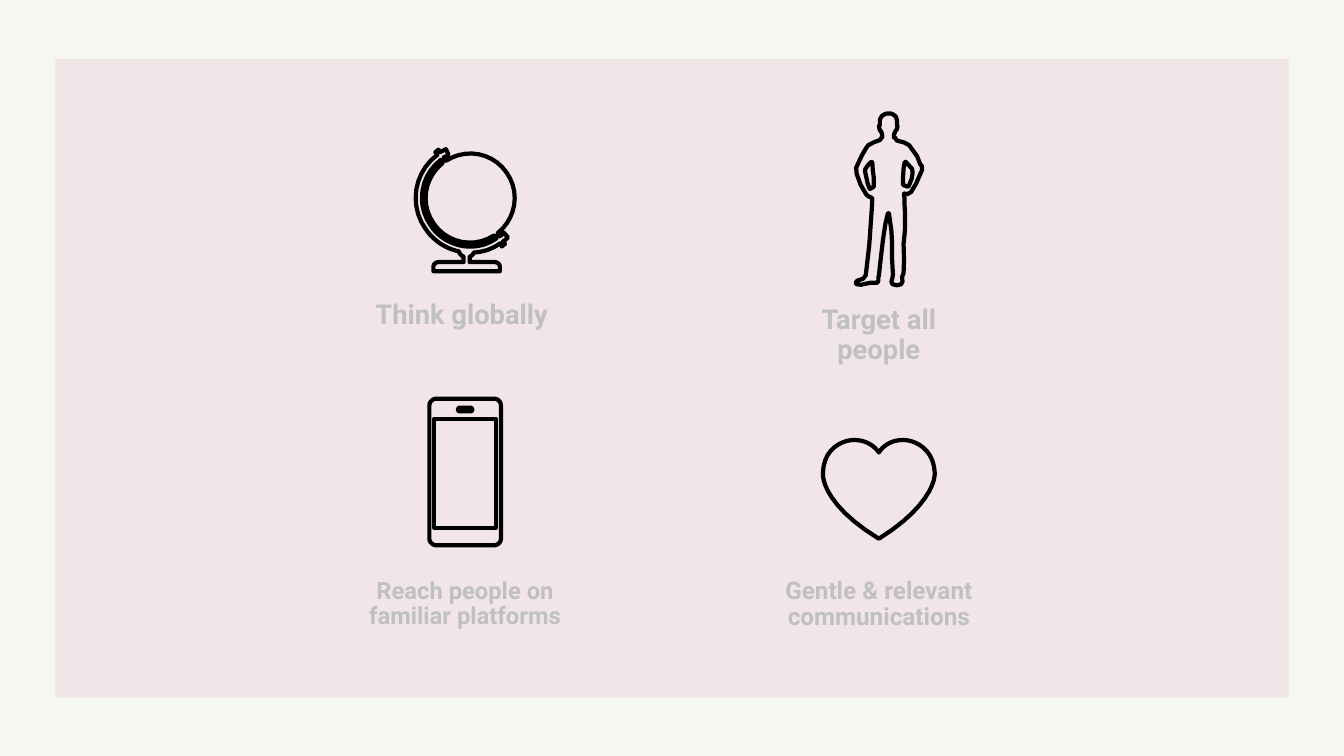
from pptx import Presentation
from pptx import util as u
from pptx.dml.color import RGBColor
from pptx.enum import shapes, text

BACKGROUND = RGBColor(0xF6, 0xF7, 0xF2)
PANEL = RGBColor(0xF1, 0xE5, 0xE7)
CAPTION = RGBColor(0xC0, 0xC0, 0xC0)
OUTLINE = RGBColor(0, 0, 0)

WIDTH, HEIGHT = u.Inches(26.67), u.Inches(15)
MARGIN_X, PANEL_TOP, PANEL_HEIGHT = u.Inches(1.1), u.Inches(1.17), u.Inches(12.67)
COLUMNS = (u.Inches(7.18), u.Inches(15.39))
CAPTION_WIDTH = u.Inches(4.1)
INSET = u.Inches(0.06)
STEPS = 10  # straight pieces per curve
PRECISION = 10  # freeform units per hundredth of an inch

# Contours in hundredths of an inch from the icon's corner:
# a pair is a corner, six numbers are a Bezier curve (two controls, end).
GLOBE = [
    [(60, 0), (56, 2, 52, 4, 48, 6), (45, 1), (39, 6), (43, 11),
     (-4, 46, -14, 112, 20, 159), (36, 182, 59, 197, 86, 203),
     (87, 208, 90, 211, 95, 213), (95, 224), (46, 224),
     (40, 224, 35, 228, 35, 234), (35, 242), (167, 242), (167, 234),
     (167, 228, 162, 224, 156, 224), (107, 224), (107, 213),
     (111, 212, 114, 209, 115, 205), (134, 204, 152, 198, 167, 187),
     (171, 193), (177, 188), (173, 183), (177, 181, 180, 178, 183, 175),
     (175, 166), (172, 169, 169, 171, 166, 173), (162, 167),
     (199, 138, 208, 85, 180, 46), (153, 7, 100, -3, 60, 23), (56, 16),
     (59, 15, 62, 13, 65, 11)],
    [(50, 21), (54, 27), (17, 56, 8, 109, 36, 148),
     (63, 187, 116, 197, 156, 171), (160, 177),
     (140, 191, 116, 196, 92, 192), (66, 187, 44, 173, 30, 152),
     (0, 110, 9, 52, 50, 21)],
]
PHONE = [
    [(14, 0), (7, 0, 0, 6, 0, 14), (0, 278), (0, 285, 7, 291, 14, 291),
     (128, 291), (136, 291, 142, 285, 142, 278), (142, 14),
     (142, 6, 136, 0, 128, 0)],
    [(60, 18), (82, 18), (84, 18, 85, 20, 85, 22), (85, 24, 84, 25, 82, 25),
     (60, 25), (58, 25, 57, 24, 57, 22), (57, 20, 58, 18, 60, 18)],
    [(10, 40), (132, 40), (132, 256), (10, 256)],
]
HEART = [
    [(60, 0), (38, 1, 1, 17, 0, 66), (-1, 84, 13, 136, 111, 196),
     (207, 136, 222, 84, 222, 66), (220, 17, 183, 1, 161, 0),
     (125, -1, 111, 25, 111, 25), (111, 25, 96, -1, 60, 0)],
]
PERSON = [
    [(63, 0), (57, 2), (52, 5), (48, 12), (48, 23), (46, 25), (47, 29),
     (48, 34), (50, 35), (52, 40), (53, 47), (50, 50), (48, 53), (37, 57),
     (25, 63), (20, 70), (12, 84), (4, 101), (1, 108), (2, 120), (10, 142),
     (21, 161), (26, 165), (31, 167), (33, 169), (32, 190), (29, 232),
     (27, 261), (22, 304), (20, 321), (15, 328), (3, 332), (0, 336),
     (2, 339), (11, 340), (20, 338), (30, 336), (43, 336), (45, 332),
     (45, 325), (46, 322), (49, 295), (54, 252), (59, 219), (64, 198),
     (66, 198), (71, 234), (72, 253), (72, 285), (74, 320), (73, 326),
     (71, 334), (73, 339), (82, 341), (90, 339), (93, 334), (92, 325),
     (95, 317), (96, 290), (95, 259), (97, 240), (98, 226), (98, 200),
     (97, 181), (97, 170), (96, 159), (103, 160), (110, 156), (120, 139),
     (130, 116), (132, 112), (131, 104), (128, 101), (122, 85), (106, 63),
     (97, 58), (82, 54), (80, 51), (78, 48), (76, 48), (76, 42), (79, 35),
     (82, 31), (83, 25), (82, 23), (82, 14), (80, 7), (77, 4), (74, 2),
     (69, 0)],
    [(99, 96), (101, 98), (112, 110), (113, 118), (111, 130), (105, 145),
     (102, 145), (94, 142), (94, 126), (95, 110), (97, 98)],
    [(31, 96), (33, 97), (34, 113), (36, 128), (36, 145), (32, 148),
     (28, 150), (24, 140), (19, 117), (19, 111), (20, 109), (25, 102),
     (30, 97)],
]

# icon, icon left and top, column, caption top and height, size, caption
IDEAS = [
    (GLOBE, 8.25, 2.96, 0, 5.79, 0.93, 39, "Think globally "),
    (PHONE, 8.52, 7.91, 0, 11.23, 1.52, 33.9, "Reach people on familiar platforms"),
    (HEART, 16.33, 8.73, 1, 11.23, 1.52, 34.7, "Gentle & relevant communications"),
    (PERSON, 16.98, 2.25, 1, 5.9, 1.52, 39, "Target all people"),
]


def flatten(contour):
    """Return the contour's points with each curve cut into straight pieces."""
    points = []
    for segment in contour:
        if len(segment) == 2:
            points.append(segment)
            continue
        x0, y0 = points[-1]
        x1, y1, x2, y2, x3, y3 = segment
        for step in range(1, STEPS + 1):
            t = step / STEPS
            a, b, c, d = (1 - t) ** 3, 3 * t * (1 - t) ** 2, 3 * t * t * (1 - t), t ** 3
            points.append((a * x0 + b * x1 + c * x2 + d * x3,
                           a * y0 + b * y1 + c * y2 + d * y3))
    return [(x * PRECISION, y * PRECISION) for x, y in points]


presentation = Presentation()
presentation.slide_width, presentation.slide_height = WIDTH, HEIGHT
slide = presentation.slides.add_slide(presentation.slide_layouts[6])
slide.background.fill.solid()
slide.background.fill.fore_color.rgb = BACKGROUND

panel = slide.shapes.add_shape(shapes.MSO_SHAPE.RECTANGLE, MARGIN_X, PANEL_TOP,
                               WIDTH - 2 * MARGIN_X, PANEL_HEIGHT)
panel.shadow.inherit = False
panel.fill.solid()
panel.fill.fore_color.rgb = PANEL
panel.line.fill.background()

for icon, left, top, column, caption_top, caption_height, size, words in IDEAS:
    group = slide.shapes.add_group_shape()

    contours = [flatten(contour) for contour in icon]
    builder = group.shapes.build_freeform(*contours[0][0],
                                          scale=u.Inches(0.01) / PRECISION)
    for points in contours:
        if points is not contours[0]:
            builder.move_to(*points[0])
        builder.add_line_segments(points[1:], close=True)
    outline = builder.convert_to_shape(u.Inches(left), u.Inches(top))
    outline.shadow.inherit = False
    outline.fill.background()
    outline.line.color.rgb = OUTLINE
    outline.line.width = u.Pt(6)

    caption = group.shapes.add_textbox(COLUMNS[column], u.Inches(caption_top),
                                       CAPTION_WIDTH, u.Inches(caption_height))
    frame = caption.text_frame
    frame.word_wrap = True
    frame.vertical_anchor = text.MSO_ANCHOR.MIDDLE
    frame.margin_left = frame.margin_right = INSET
    frame.margin_top = frame.margin_bottom = INSET
    paragraph = frame.paragraphs[0]
    paragraph.alignment = text.PP_ALIGN.CENTER
    paragraph.line_spacing = 0.9
    run = paragraph.add_run()
    run.text = words
    run.font.name = "Roboto"
    run.font.size = u.Pt(size)
    run.font.bold = True
    run.font.color.rgb = CAPTION

presentation.save("out.pptx")
